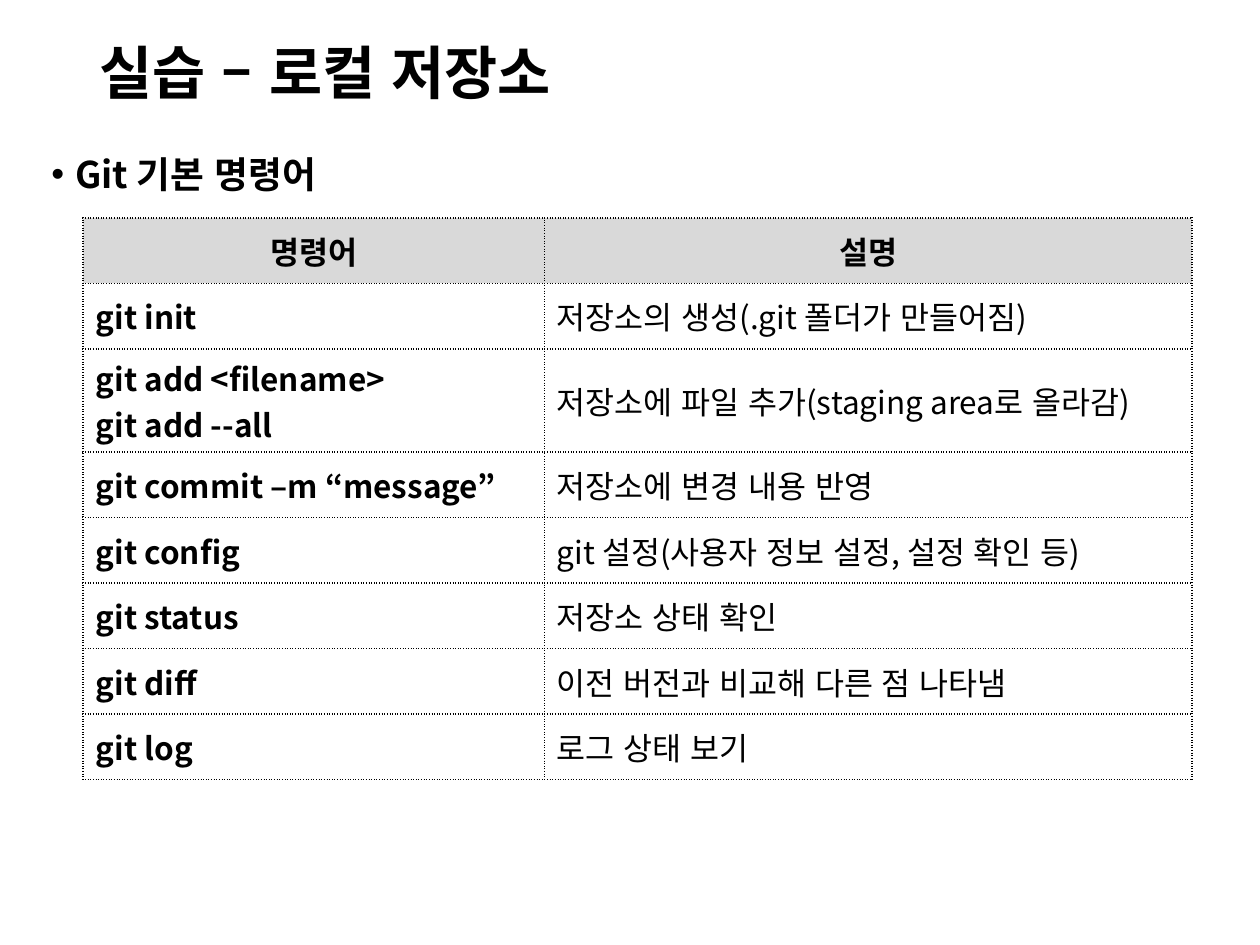
from pptx import Presentation
from pptx.dml.color import RGBColor
from pptx.enum.lang import MSO_LANGUAGE_ID as Lang
from pptx.enum.text import MSO_ANCHOR as Anchor, PP_ALIGN as Align
from pptx.oxml import parse_xml
from pptx.oxml.ns import nsdecls, qn
from pptx.util import Inches, Pt

BLACK = RGBColor(0x00, 0x00, 0x00)
GRAY = RGBColor(0xD9, 0xD9, 0xD9)
FONT = "Noto Sans CJK KR"
NS = nsdecls("a")

HEAD = ("명령어", "설명")
ROWS = [
    (["git init"], "저장소의 생성(.git 폴더가 만들어짐)"),
    (["git add <filename>", "git add --all"],
     "저장소에 파일 추가(staging area로 올라감)"),
    (["git commit –m “message”"], "저장소에 변경 내용 반영"),
    (["git config"], "git 설정(사용자 정보 설정, 설정 확인 등)"),
    (["git status"], "저장소 상태 확인"),
    (["git diff"], "이전 버전과 비교해 다른 점 나타냄"),
    (["git log"], "로그 상태 보기"),
]


def add_run(para, text, size, bold=True):
    """Add one styled run, with the font set for Latin and Korean."""
    run = para.add_run()
    run.text = text
    font = run.font
    font.name, font.size, font.bold = FONT, Pt(size), bold
    font.language_id = Lang.KOREAN
    font.color.rgb = BLACK
    latin = run._r.get_or_add_rPr().find(qn("a:latin"))
    latin.addnext(parse_xml(f'<a:ea {NS} typeface="{FONT}"/>'))


def add_frame(slide, box):
    """Add a wrapping text box and return its text frame."""
    frame = slide.shapes.add_textbox(*map(Inches, box)).text_frame
    frame.word_wrap = True
    return frame


def add_title(slide, box):
    """Place the slide title, centred in height."""
    frame = add_frame(slide, box)
    frame.vertical_anchor = Anchor.MIDDLE
    para = frame.paragraphs[0]
    para.line_spacing = 0.9
    add_run(para, "실습 – 로컬 저장소", 33)


def add_body(slide, box):
    """Place the bulleted topic line."""
    para = add_frame(slide, box).paragraphs[0]
    para.line_spacing = 1.5
    para.space_before = Pt(7.5)
    props = para._p.get_or_add_pPr()
    props.set("marL", str(Inches(0.19)))
    props.set("indent", str(-Inches(0.19)))
    props.append(parse_xml(f'<a:buFont {NS} typeface="Arial"/>'))
    props.append(parse_xml(f'<a:buChar {NS} char="•"/>'))
    add_run(para, "Git 기본 명령어", 21)


def add_edges(cell):
    """Draw dotted lines on all four sides of a cell."""
    props = cell._tc.get_or_add_tcPr()
    for spot, side in enumerate("LRTB"):
        props.insert(spot, parse_xml(
            f'<a:ln{side} {NS} w="{Pt(1)}"><a:solidFill>'
            f'<a:srgbClr val="{BLACK}"/></a:solidFill>'
            f'<a:prstDash val="sysDot"/></a:ln{side}>'))


def fill_cell(cell, lines, bold, head=False):
    """Write the lines of a cell and style it."""
    cell.vertical_anchor = Anchor.MIDDLE
    if head:
        cell.fill.solid()
        cell.fill.fore_color.rgb = GRAY
    else:
        cell.fill.background()
    add_edges(cell)
    frame = cell.text_frame
    for spot, line in enumerate(lines):
        para = frame.add_paragraph() if spot else frame.paragraphs[0]
        para.alignment = Align.CENTER if head else Align.LEFT
        add_run(para, line, 18, bold)


def add_grid(slide, box):
    """Place the table of commands; each extra line makes its row taller."""
    left, top, width, height = map(Inches, box)
    table = slide.shapes.add_table(
        len(ROWS) + 1, 2, left, top, width, height).table
    first = Inches(3.66)
    table.columns[0].width = first
    table.columns[1].width = width - first
    table.rows[0].height = Inches(0.52)
    for col, name in enumerate(HEAD):
        fill_cell(table.cell(0, col), [name], True, head=True)
    for row, (cmds, note) in enumerate(ROWS, 1):
        table.rows[row].height = Inches(0.52 + 0.3 * (len(cmds) - 1))
        fill_cell(table.cell(row, 0), cmds, True)
        fill_cell(table.cell(row, 1), [note], False)


def main():
    """Build the slide and save it."""
    deck = Presentation()
    deck.slide_width, deck.slide_height = Inches(10), Inches(7.5)
    slide = deck.slides.add_slide(deck.slide_layouts[6])
    add_title(slide, (0.69, 0.22, 8.62, 0.76))
    add_body(slide, (0.31, 0.98, 9.49, 6.38))
    add_grid(slide, (0.66, 1.73, 8.8, 4.46))
    deck.save("out.pptx")


main()
